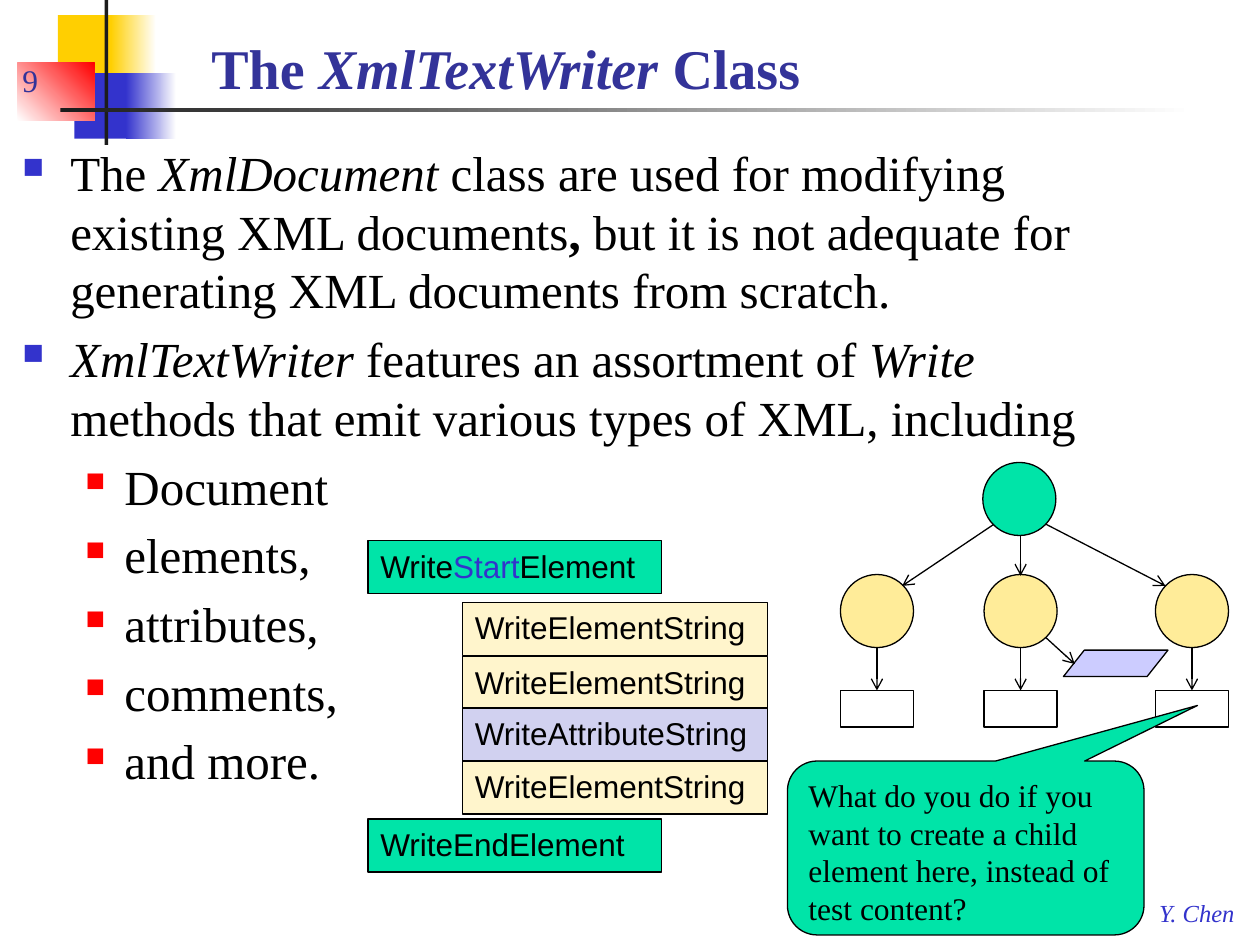
"""Build the slide about the XmlTextWriter class."""
from lxml import etree
from pptx import Presentation
from pptx.dml.color import RGBColor
from pptx.enum.shapes import MSO_CONNECTOR, MSO_SHAPE
from pptx.enum.text import MSO_ANCHOR, PP_ALIGN
from pptx.oxml.ns import qn
from pptx.util import Inches, Pt

RECTANGLE, OVAL = MSO_SHAPE.RECTANGLE, MSO_SHAPE.OVAL
DATA, CALLOUT = MSO_SHAPE.FLOWCHART_DATA, MSO_SHAPE.ROUNDED_RECTANGULAR_CALLOUT
STRAIGHT = MSO_CONNECTOR.STRAIGHT
TOP, BOTTOM, LEFT = MSO_ANCHOR.TOP, MSO_ANCHOR.BOTTOM, PP_ALIGN.LEFT
SERIF, SANS = "Times New Roman", "Arial"
BLACK, WHITE, DARK, BLUE, RED = "000000", "FFFFFF", "1C1C1C", "3333CC", "FF0000"
NAVY, YELLOW, GREEN, CREAM, LILAC = "333399", "FFCF01", "00E4A8", "FFF5CC", "D1D1F0"

presentation = Presentation()
presentation.slide_width, presentation.slide_height = Inches(10), Inches(7.5)
slide = presentation.slides.add_slide(presentation.slide_layouts[6])


def add_block(kind, box, fill, outlined=True):
    """Add a filled shape, outlined in black or not at all."""
    shape = slide.shapes.add_shape(kind, *map(Inches, box))
    shape.shadow.inherit = False
    shape.fill.solid()
    shape.fill.fore_color.rgb = RGBColor.from_string(fill)
    if outlined:
        shape.line.color.rgb = RGBColor.from_string(BLACK)
        shape.line.width = Pt(0.75)
    else:
        shape.line.fill.background()
    return shape


def write(paragraph, pieces, size, font=SERIF, color=BLACK):
    """Add runs given as (text, style), where style holds b, i or a colour."""
    paragraph.alignment = LEFT
    for text, style in pieces:
        run = paragraph.add_run()
        run.text = text
        run.font.name, run.font.size = font, Pt(size)
        run.font.bold, run.font.italic = "b" in style, "i" in style
        run.font.color.rgb = RGBColor.from_string(style if len(style) == 6 else color)


decorations = [
    ((0.46, 0.12, 0.48, 0.52), [YELLOW], 0),
    ((0.88, 0.12, 0.36, 0.52), [YELLOW, WHITE], 0),
    ((0.59, 0.58, 0.46, 0.52), [BLUE], 0),
    ((1, 0.58, 0.4, 0.52), [BLUE, WHITE], 0),
    ((0.14, 0.5, 0.61, 0.46), [WHITE, RED], 45),
    ((0.83, 0, 0.03, 1.15), [DARK], 0),
    ((0.48, 0.86, 9, 0.03), [DARK, WHITE], 0),
]
for box, colors, angle in decorations:
    shape = add_block(RECTANGLE, box, colors[0], False)
    if len(colors) == 2:
        shape.fill.gradient()
        shape.fill.gradient_angle = angle
        for stop, color in zip(shape.fill.gradient_stops, colors):
            stop.color.rgb = RGBColor.from_string(color)

body = [
    (0, [("The ", ""), ("XmlDocument ", "i"),
         ("class are used for modifying existing XML documents", ""), (", ", "b"),
         ("but it is not adequate for generating XML documents from scratch.", "")]),
    (0, [("XmlTextWriter ", "i"), ("features an assortment of ", ""), ("Write ", "i"),
         ("methods that emit various types of XML, including", "")]),
]
for item in ("Document", "elements,", "attributes,", "comments,", "and more."):
    body.append((1, [(item, "")]))
bullets = [(0.38, 0.38, BLUE, 60), (0.81, 0.31, RED, 55)]

text_box = slide.shapes.add_textbox(*map(Inches, (0.08, 1.08, 9.04, 5.62)))
text_frame = text_box.text_frame
text_frame.word_wrap = True
for index, (level, pieces) in enumerate(body):
    paragraph = text_frame.add_paragraph() if index else text_frame.paragraphs[0]
    paragraph.level = level
    paragraph.space_before = Pt(5.6)
    write(paragraph, pieces, 28)
    margin, hanging, color, percent = bullets[level]
    properties = paragraph._p.get_or_add_pPr()
    properties.set("marL", str(Inches(margin)))
    properties.set("indent", str(-Inches(hanging)))
    bullet_color = etree.SubElement(properties, qn("a:buClr"))
    etree.SubElement(bullet_color, qn("a:srgbClr"), val=color)
    etree.SubElement(properties, qn("a:buSzPct"), val=str(percent * 1000))
    etree.SubElement(properties, qn("a:buChar"), char="■")

labels = [
    ((9.1, 7.08, 0.82, 0.33), [("Y. Chen", "i")], 14, BLUE, TOP, False),
    ((0.08, 0.33, 0.83, 0.5), [("9", "")], 18, NAVY, BOTTOM, True),
    ((1.58, 0.17, 8.33, 0.68), [("The ", "b"), ("XmlTextWriter ", "bi"), ("Class", "b")],
     32, NAVY, BOTTOM, True),
]
for box, pieces, size, color, anchor, wrap in labels:
    text_frame = slide.shapes.add_textbox(*map(Inches, box)).text_frame
    text_frame.word_wrap, text_frame.vertical_anchor = wrap, anchor
    write(text_frame.paragraphs[0], pieces, size, color=color)

element_string = [("WriteElementString", "")]
calls = [
    (2.92, 4.29, 2.33, GREEN, [("Write", ""), ("Start", BLUE), ("Element", "")]),
    (3.67, 4.78, 2.42, CREAM, element_string),
    (3.67, 5.21, 2.42, CREAM, element_string),
    (3.67, 5.62, 2.42, LILAC, [("WriteAttributeString", "")]),
    (3.67, 6.04, 2.42, CREAM, element_string),
    (2.92, 6.5, 2.33, GREEN, [("WriteEndElement", "")]),
]
for left, top, width, fill, pieces in calls:
    text_frame = add_block(RECTANGLE, (left, top, width, 0.42), fill).text_frame
    text_frame.word_wrap, text_frame.vertical_anchor = False, TOP
    write(text_frame.paragraphs[0], pieces, 18, SANS)

node_size = 0.58
add_block(OVAL, (7.8, 3.67, node_size, node_size), GREEN)
add_block(DATA, (8.44, 5.16, 0.83, 0.21), "CCCCFF")
arrows = [
    (7.89, 4.16, 7.16, 4.65),
    (8.1, 4.25, 8.1, 4.57),
    (8.3, 4.16, 9.25, 4.65),
    (8.3, 5.06, 8.53, 5.27),
]
for left in (6.67, 7.81, 9.17):
    add_block(OVAL, (left, 4.56, node_size, node_size), "FFEC99")
    add_block(RECTANGLE, (left, 5.48, node_size, 0.29), WHITE)
    center = left + node_size / 2
    arrows.append((center, 5.14, center, 5.48))
for ends in arrows:
    connector = slide.shapes.add_connector(STRAIGHT, *map(Inches, ends))
    connector.line.color.rgb = RGBColor.from_string(BLACK)
    connector.line.width = Pt(0.75)
    etree.SubElement(connector.line._get_or_add_ln(), qn("a:tailEnd"), type="arrow")
    etree.SubElement(connector._element.spPr, qn("a:effectLst"))

callout = add_block(CALLOUT, (6.25, 6.04, 2.83, 1.38), GREEN)
for index, value in enumerate((0.65, -0.82, 0.17)):
    callout.adjustments[index] = value
callout.text_frame.word_wrap, callout.text_frame.vertical_anchor = True, TOP
question = "What do you do if you want to create a child element here, instead of test content?"
write(callout.text_frame.paragraphs[0], [(question, "")], 18)

presentation.save("out.pptx")
